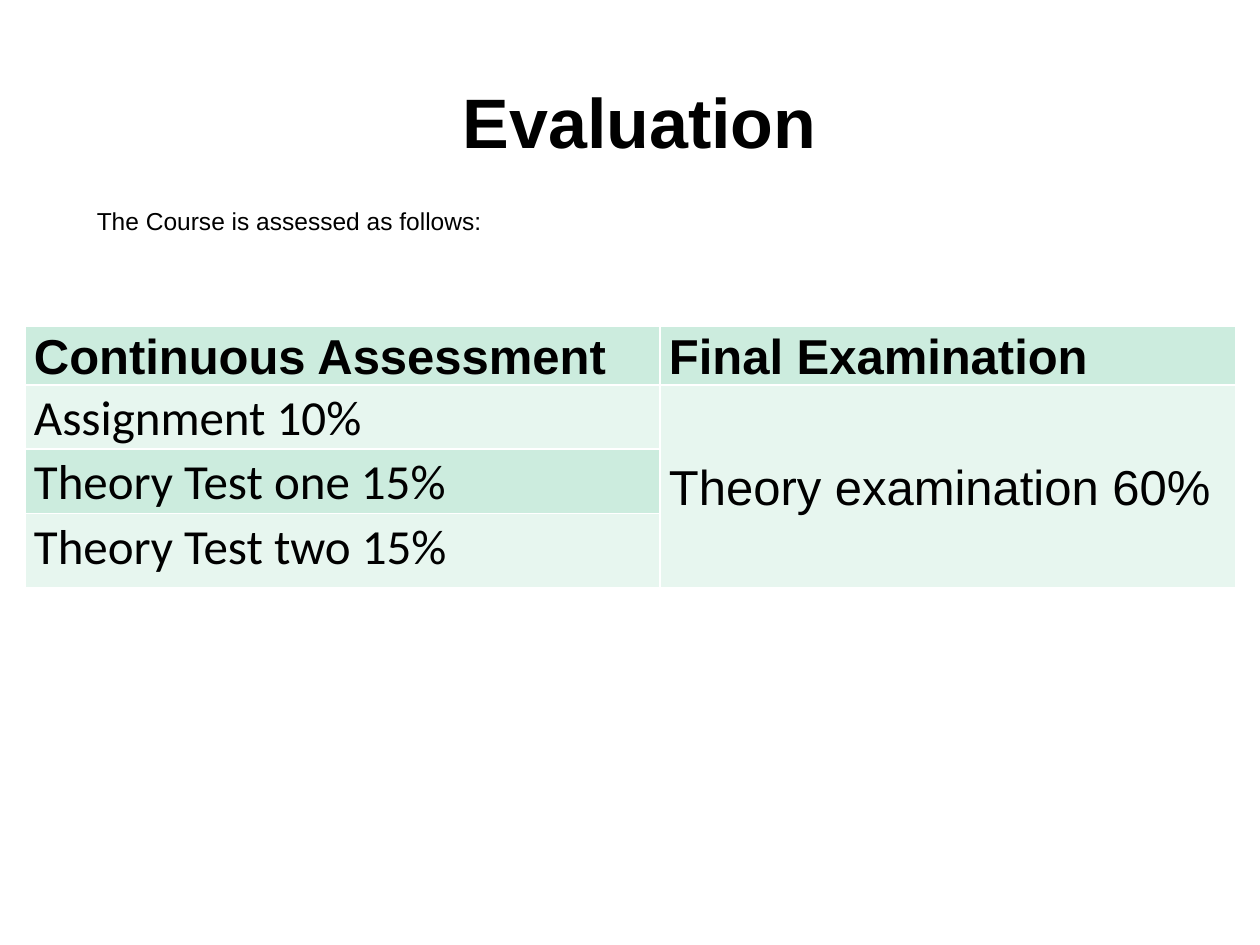
from pptx import Presentation
from pptx.dml.color import RGBColor
from pptx.enum.text import MSO_ANCHOR, PP_ALIGN
from pptx.oxml import parse_xml
from pptx.oxml.ns import nsdecls
from pptx.util import Inches, Pt

MID = MSO_ANCHOR.MIDDLE
TOP = MSO_ANCHOR.TOP
MID_TEXT = PP_ALIGN.CENTER
JUST = PP_ALIGN.JUSTIFY

THEME = {
    "head": "Arial", "body": "Calibri",
    "title": 40, "cell": 28, "note": 14,
    "ink": "000000", "line": "FFFFFF",
    "bands": ("CCECDE", "E7F6EF"),
}

TITLE = "Evaluation"
NOTE = "The Course is assessed as follows:"
HEADS = ("Continuous Assessment", "Final Examination")
TASKS = ("Assignment 10%", "Theory Test one 15%", "Theory Test two 15%")
EXAM = "Theory examination 60%"

COLS = (5.04, 4.57)
ROWS = (0.46, 0.51, 0.51, 0.59)


def box(*nums):
    return [Inches(n) for n in nums]


def place(shape, *nums):
    shape.left, shape.top, shape.width, shape.height = box(*nums)


def write(frame, text, size, face=THEME["head"], bold=False):
    para = frame.paragraphs[0]
    para.text = text
    font = para.font
    font.name, font.size, font.bold = face, Pt(size), bold
    font.color.rgb = RGBColor.from_string(THEME["ink"])
    return para


def edge(cell):
    props = cell._tc.get_or_add_tcPr()
    for side in ("lnL", "lnR", "lnT", "lnB"):
        props.append(parse_xml(
            f'<a:{side} {nsdecls("a")} w="{Pt(1)}"><a:solidFill>'
            f'<a:srgbClr val="{THEME["line"]}"/></a:solidFill></a:{side}>'))


def fill(cell, text, **style):
    para = write(cell.text_frame, text, THEME["cell"], **style)
    para.alignment = JUST
    para.line_spacing = 1.07
    para.space_after = Pt(8)


deck = Presentation()
deck.slide_width, deck.slide_height = box(10, 7.5)
slide = deck.slides.add_slide(deck.slide_layouts[5])

title = slide.shapes.title
place(title, 0.83, 0.5, 8.49, 0.91)
title.text_frame.vertical_anchor = MID
write(title.text_frame, TITLE, THEME["title"], bold=True).alignment = MID_TEXT

frame = slide.shapes.add_table(
    len(ROWS), len(COLS), *box(0.2, 2.59, sum(COLS), sum(ROWS)))
table = frame.table
table.first_row = table.horz_banding = False
for col, width in zip(table.columns, COLS):
    col.width = Inches(width)
for row, height in zip(table.rows, ROWS):
    row.height = Inches(height)

for r in range(len(ROWS)):
    for c in range(len(COLS)):
        cell = table.cell(r, c)
        edge(cell)
        band = THEME["bands"][r % 2]
        cell.fill.solid()
        cell.fill.fore_color.rgb = RGBColor.from_string(band)
        cell.margin_left = cell.margin_right = Inches(0.07)
        cell.margin_top = cell.margin_bottom = 0
        cell.vertical_anchor = TOP

for c, text in enumerate(HEADS):
    fill(table.cell(0, c), text, bold=True)
for r, text in enumerate(TASKS, 1):
    fill(table.cell(r, 0), text, face=THEME["body"])
exam = table.cell(1, 1)
exam.merge(table.cell(len(TASKS), 1))
exam.vertical_anchor = MID
fill(exam, EXAM)

note = slide.shapes.add_textbox(*box(0.67, 1.58, 6.53, 0.34)).text_frame
note.word_wrap = True
note.vertical_anchor = MID
write(note, NOTE, THEME["note"])

deck.save("out.pptx")
